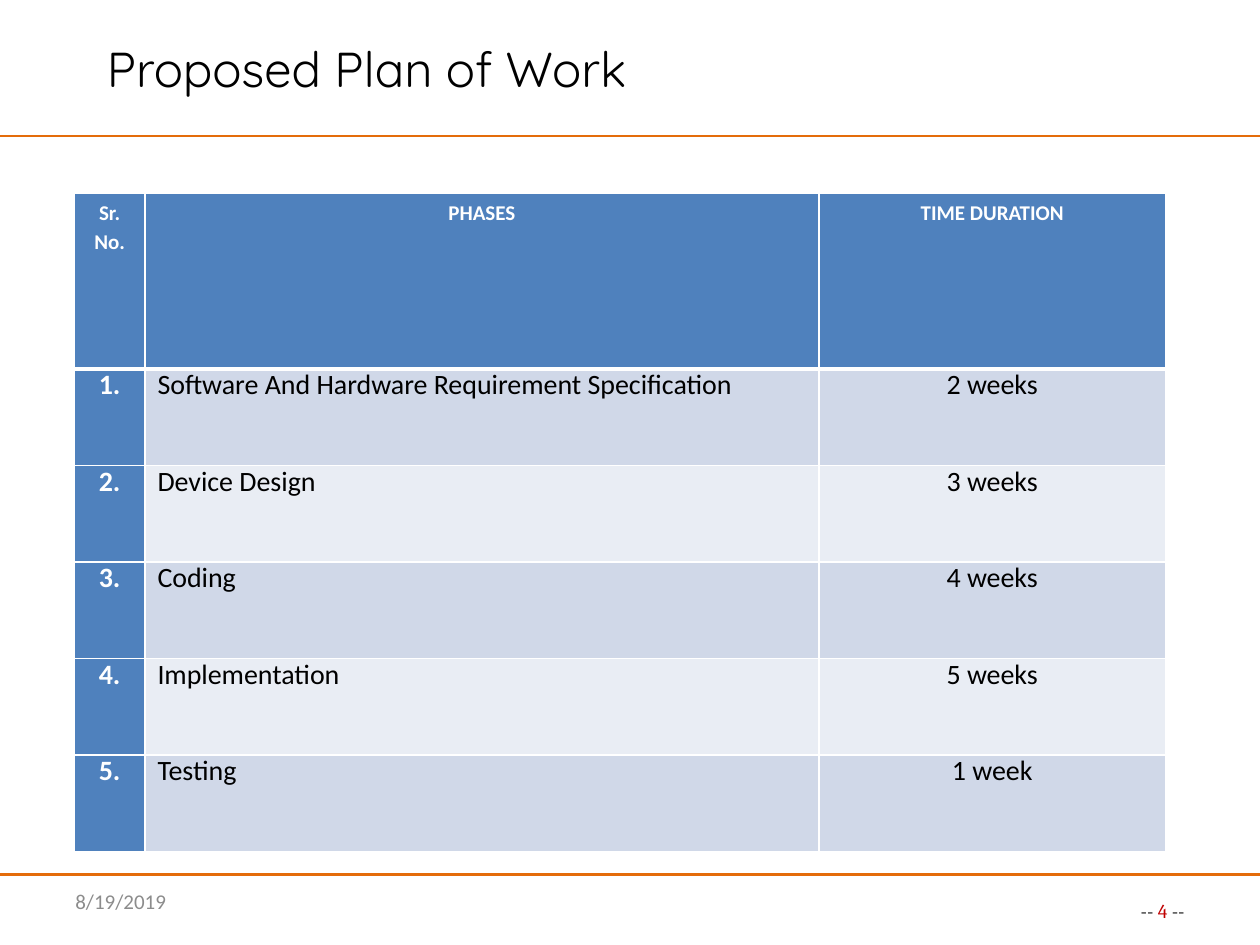
from dataclasses import dataclass

from lxml.etree import SubElement
from pptx import Presentation
from pptx.dml.color import RGBColor
from pptx.enum.shapes import MSO_CONNECTOR
from pptx.enum.text import MSO_ANCHOR as Anchor, PP_ALIGN as Align
from pptx.oxml import parse_xml
from pptx.oxml.ns import nsdecls, qn
from pptx.util import Inches, Pt


@dataclass(frozen=True)
class Theme:
    rule: str = "E46C0A"
    header: str = "4F81BD"
    bands: tuple = ("D0D8E8", "E9EDF4")
    white: str = "FFFFFF"
    black: str = "000000"
    grey: str = "8C8C8C"
    red: str = "C00000"
    body_font: str = "Calibri"
    title_font: str = "Quicksand"
    number_font: str = "Cambria"
    title_size: int = 28
    body_size: int = 16
    number_size: int = 14
    small_size: int = 12


THEME = Theme()
HEADINGS = ("Sr. No.", "PHASES", "TIME DURATION")
PHASES = (
    ("Software And Hardware Requirement Specification", "2 weeks"),
    ("Device Design", "3 weeks"),
    ("Coding", "4 weeks"),
    ("Implementation", "5 weeks"),
    ("Testing", "1 week"),
)


def style_run(run, font, size, color, bold=False):
    run.font.name = font
    run.font.size = Pt(size)
    run.font.bold = bold
    run.font.color.rgb = RGBColor.from_string(color)


def add_rule(slide, top):
    line = slide.shapes.add_connector(
        MSO_CONNECTOR.STRAIGHT, 0, Inches(top), Inches(10), Inches(top))
    line.line.color.rgb = RGBColor.from_string(THEME.rule)
    line.line.width = Pt(1.25)
    SubElement(line.element.spPr, qn("a:effectLst"))


def add_text(slide, box, text, font, size, color, anchor=Anchor.MIDDLE):
    shape = slide.shapes.add_textbox(*map(Inches, box))
    text_frame = shape.text_frame
    text_frame.word_wrap = True
    text_frame.vertical_anchor = anchor
    text_frame.text = text
    paragraph = text_frame.paragraphs[0]
    style_run(paragraph.runs[0], font, size, color)
    return paragraph


def add_slide_number(slide, box):
    font, size = THEME.number_font, THEME.number_size
    paragraph = add_text(slide, box, "-- ", font, size, THEME.black, Anchor.TOP)
    paragraph.alignment = Align.RIGHT
    for text, color in (("4 ", THEME.red), ("--", THEME.black)):
        run = paragraph.add_run()
        run.text = text
        style_run(run, font, size, color)
    # Small capitals
    for run in paragraph.runs:
        run.font._element.set("cap", "small")


def set_borders(cell, bottom):
    widths = {"lnL": 1, "lnR": 1, "lnT": 1, "lnB": bottom}
    properties = cell._tc.get_or_add_tcPr()
    for index, (side, width) in enumerate(widths.items()):
        properties.insert(index, parse_xml(
            f'<a:{side} {nsdecls("a")} w="{Pt(width)}"><a:solidFill>'
            f'<a:srgbClr val="{THEME.white}"/></a:solidFill></a:{side}>'))


def fill_cell(cell, text, row, column):
    is_header = row == 0
    is_accent = is_header or column == 0
    cell.margin_left = cell.margin_right = Inches(0.1)
    cell.margin_top = cell.margin_bottom = Inches(0.03)
    cell.fill.solid()
    cell.fill.fore_color.rgb = RGBColor.from_string(
        THEME.header if is_accent else THEME.bands[(row - 1) % 2])
    set_borders(cell, 3 if is_header else 1)

    cell.text_frame.text = text
    paragraph = cell.text_frame.paragraphs[0]
    paragraph.alignment = Align.LEFT if column == 1 and not is_header else Align.CENTER
    paragraph.line_spacing = Pt(16.8)
    paragraph.space_after = Pt(19.5)
    style_run(paragraph.runs[0], THEME.body_font,
              THEME.small_size if is_header else THEME.body_size,
              THEME.white if is_accent else THEME.black, is_accent)


def add_plan_table(slide, box):
    rows = [HEADINGS] + [(f"{number}.", *phase)
                         for number, phase in enumerate(PHASES, 1)]
    left, top, width, height = box
    table = slide.shapes.add_table(
        len(rows), len(HEADINGS), *map(Inches, box)).table

    # The middle column and the body rows share the space left over
    number_width, duration_width, header_height = 0.56, 2.75, 1.4
    widths = (number_width, width - number_width - duration_width, duration_width)
    for column, column_width in zip(table.columns, widths):
        column.width = Inches(column_width)
    body_height = (height - header_height) / len(PHASES)
    for index, row in enumerate(table.rows):
        row.height = Inches(body_height if index else header_height)

    for row, texts in enumerate(rows):
        for column, text in enumerate(texts):
            fill_cell(table.cell(row, column), text, row, column)


def build_plan_slide(presentation):
    slide = presentation.slides.add_slide(presentation.slide_layouts[6])
    # Rules below the title and above the footer
    for top in (1.08, 6.94):
        add_rule(slide, top)
    # Title
    add_text(slide, (0.75, 0, 7.92, 1.08), "Proposed Plan of Work",
             THEME.title_font, THEME.title_size, THEME.black)
    # Plan
    add_plan_table(slide, (0.59, 1.53, 8.66, 5.23))
    # Footer
    add_text(slide, (0.5, 6.95, 2.33, 0.4), "8/19/2019",
             THEME.body_font, THEME.small_size, THEME.grey)
    add_slide_number(slide, (8.75, 7.05, 0.75, 0.34))


presentation = Presentation()
presentation.slide_width, presentation.slide_height = Inches(10), Inches(7.5)
build_plan_slide(presentation)
presentation.save("out.pptx")
